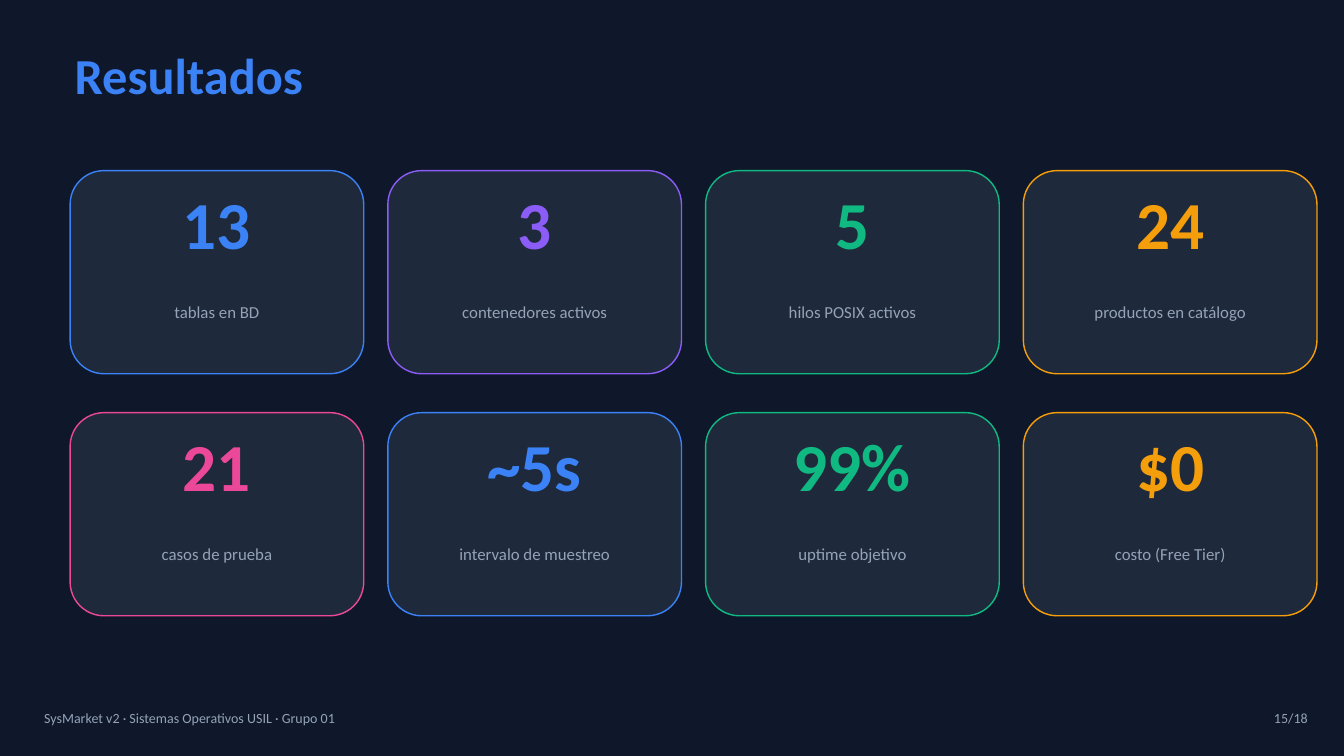
from pptx import Presentation
from pptx.dml.color import RGBColor
from pptx.enum.shapes import MSO_SHAPE
from pptx.enum.text import MSO_ANCHOR, MSO_AUTO_SIZE, PP_ALIGN
from pptx.util import Cm, Pt

ROUND = MSO_SHAPE.ROUNDED_RECTANGLE
TOP = MSO_ANCHOR.TOP
FIXED = MSO_AUTO_SIZE.NONE
LEFT, CENTER, RIGHT = PP_ALIGN.LEFT, PP_ALIGN.CENTER, PP_ALIGN.RIGHT

BLUE, VIOLET, GREEN = "3B82F6", "8B5CF6", "10B981"
AMBER, PINK, GRAY = "F59E0B", "EC4899", "94A3B8"
NIGHT, SLATE = "0F172A", "1E293B"


def color(code):
    return RGBColor.from_string(code)


def write(shape, text, size, code, align=LEFT, bold=False):
    """Fill a text shape with one formatted line, without margins."""
    frame = shape.text_frame
    frame.text = text
    frame.word_wrap = True
    frame.auto_size = FIXED
    frame.vertical_anchor = TOP
    frame.margin_left = frame.margin_right = 0
    frame.margin_top = frame.margin_bottom = 0
    line = frame.paragraphs[0]
    line.alignment = align
    line.line_spacing = Pt(size * 1.2)
    line.font.name = "Calibri"
    line.font.size = Pt(size)
    line.font.bold = bold
    line.font.color.rgb = color(code)


deck = Presentation()
deck.slide_width, deck.slide_height = Cm(50.8), Cm(28.58)
slide = deck.slides.add_slide(deck.slide_layouts[5])
slide.background.fill.solid()
slide.background.fill.fore_color.rgb = color(NIGHT)
shapes = slide.shapes

title = shapes.title
title.left, title.top = Cm(2.82), Cm(1.65)
title.width, title.height = Cm(45.47), Cm(2.49)
write(title, "Resultados", 54, BLUE, bold=True)

# Result cards: four columns, two rows
results = [
    ("13", "tablas en BD", BLUE),
    ("3", "contenedores activos", VIOLET),
    ("5", "hilos POSIX activos", GREEN),
    ("24", "productos en catálogo", AMBER),
    ("21", "casos de prueba", PINK),
    ("~5s", "intervalo de muestreo", BLUE),
    ("99%", "uptime objetivo", GREEN),
    ("$0", "costo (Free Tier)", AMBER),
]
for i, (value, label, hue) in enumerate(results):
    row, col = divmod(i, 4)
    x, y = 2.65 + 12.01 * col, 6.45 + 9.15 * row
    card = shapes.add_shape(ROUND, Cm(x), Cm(y), Cm(11.1), Cm(7.68))
    card.shadow.inherit = False
    card.fill.solid()
    card.fill.fore_color.rgb = color(SLATE)
    card.line.color.rgb = color(hue)
    card.line.width = Pt(1.5)

    box = shapes.add_textbox(Cm(x + 0.55), Cm(y + 0.46), Cm(10), Cm(4.1))
    write(box, value, 72, hue, CENTER, True)
    box = shapes.add_textbox(Cm(x + 0.55), Cm(y + 4.94), Cm(10), Cm(2.28))
    write(box, label, 18, GRAY, CENTER)

# Footer
foot = shapes.add_textbox(Cm(1.67), Cm(26.82), Cm(30.23), Cm(1.52))
write(foot, "SysMarket v2 · Sistemas Operativos USIL · Grupo 01", 15, GRAY)
page = shapes.add_textbox(Cm(45.9), Cm(26.82), Cm(3.53), Cm(1.52))
write(page, "15/18", 15, GRAY, RIGHT)

deck.save("out.pptx")
